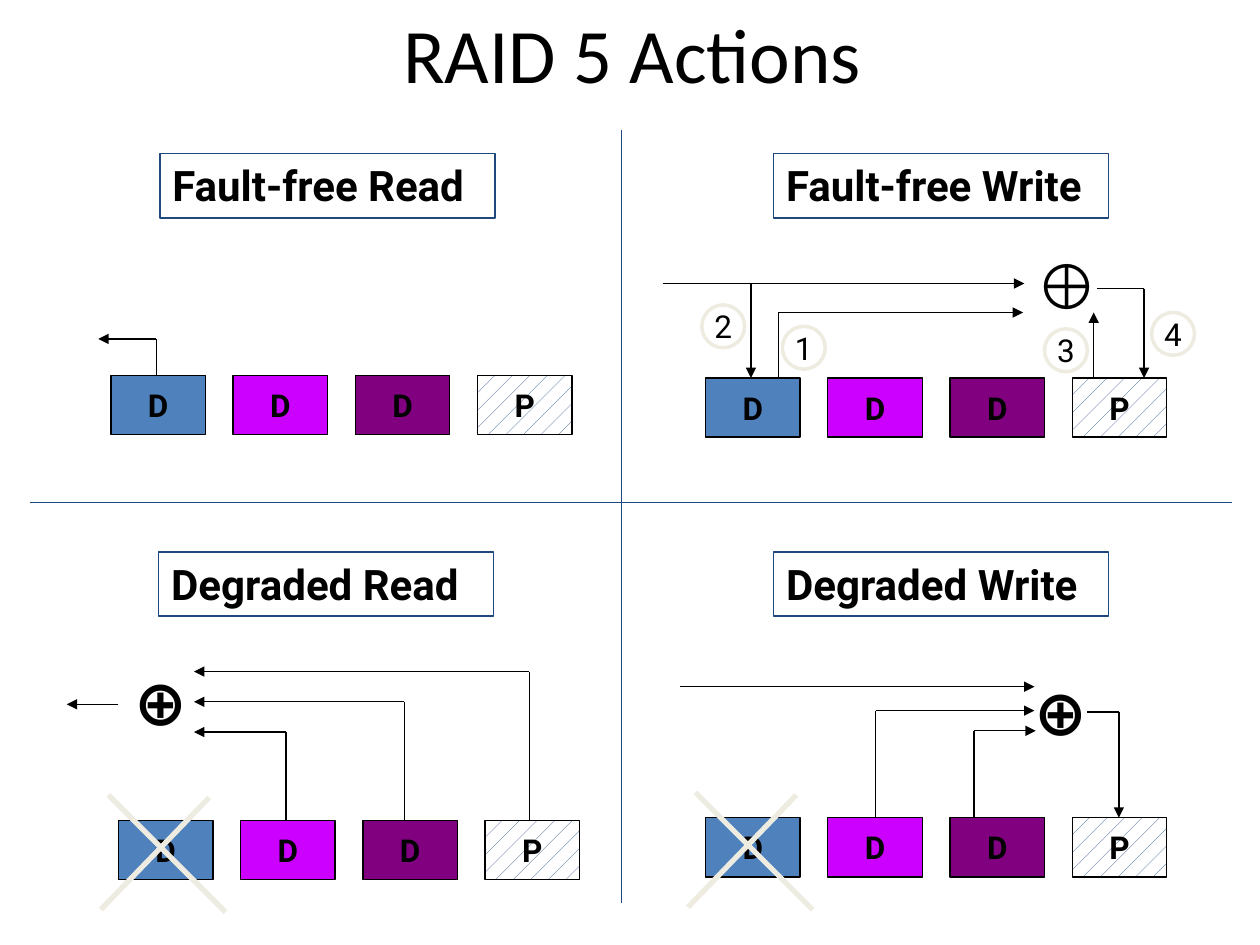
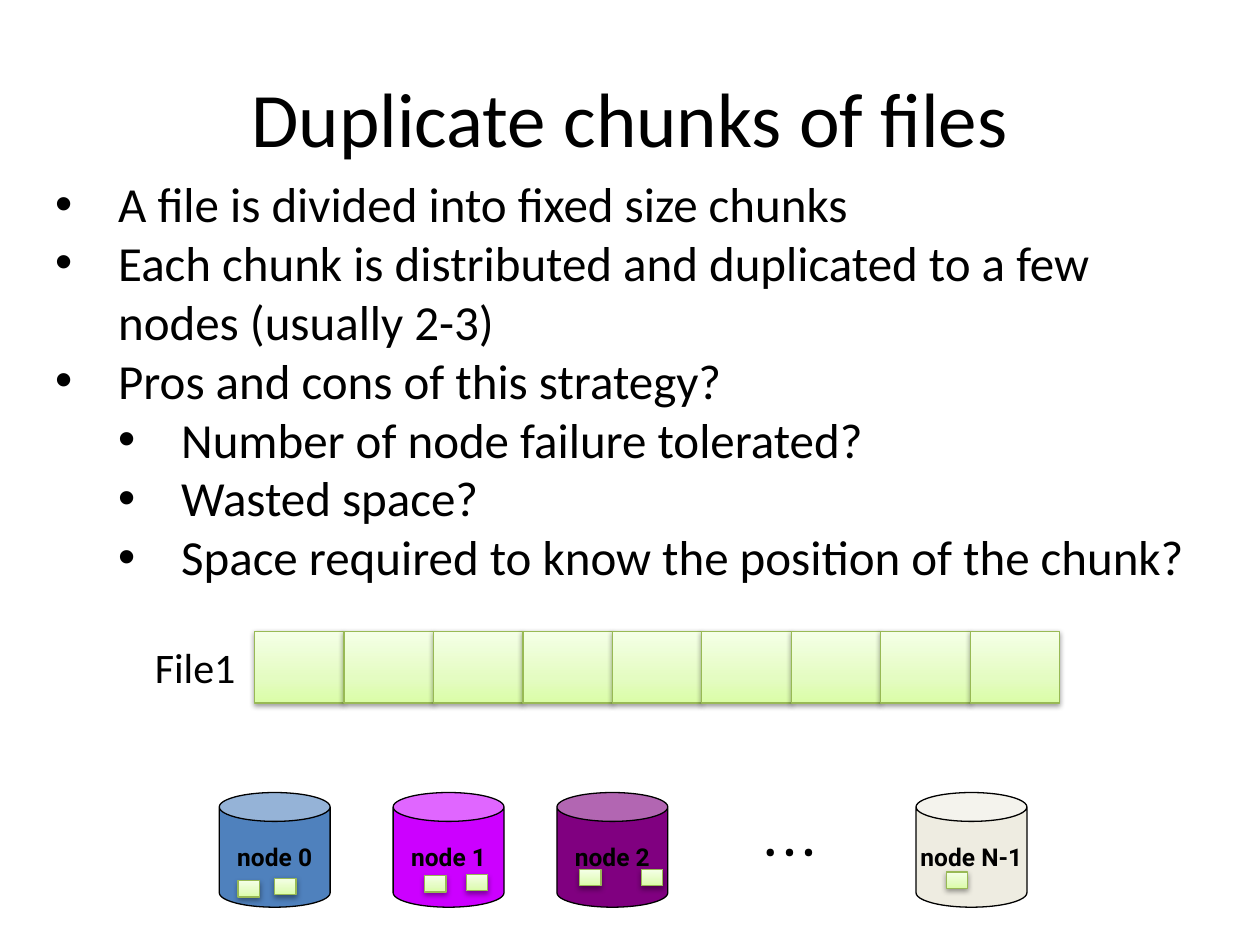
from dataclasses import dataclass

from pptx import Presentation
from pptx.dml.color import RGBColor
from pptx.enum.dml import MSO_PATTERN
from pptx.enum.shapes import MSO_CONNECTOR, MSO_SHAPE
from pptx.enum.text import MSO_ANCHOR, PP_ALIGN
from pptx.oxml import parse_xml
from pptx.oxml.ns import nsdecls
from pptx.util import Inches, Pt

BLACK = RGBColor(0x00, 0x00, 0x00)
WHITE = RGBColor(0xFF, 0xFF, 0xFF)
NAVY = RGBColor(0x1F, 0x49, 0x7D)
BLUE = RGBColor(0x4F, 0x81, 0xBD)
MAGENTA = RGBColor(0xCC, 0x00, 0xFF)
PURPLE = RGBColor(0x80, 0x00, 0x80)
CREAM = RGBColor(0xEE, 0xEC, 0xE1)
LEAF = RGBColor(0x98, 0xB9, 0x55)
CHUNK_STOPS = [
    (0, RGBColor(0xDA, 0xFD, 0xA7)),
    (35000, RGBColor(0xE4, 0xFC, 0xC2)),
    (100000, RGBColor(0xF5, 0xFF, 0xE7)),
]

TITLE = {"name": "Calibri", "size": Pt(44)}
BODY = {"name": "Calibri", "size": Pt(28)}
FILE_LABEL = {"name": "Calibri", "size": Pt(24)}
HEADING = {"name": "Roboto", "size": Pt(24), "bold": True}
BLOCK = {"name": "Roboto", "size": Pt(18), "bold": True}
STEP = {"name": "Roboto", "size": Pt(18)}
NODE = {"name": "Roboto", "size": Pt(14), "bold": True}
MIDDLE = {"word_wrap": False, "vertical_anchor": MSO_ANCHOR.MIDDLE}

CROSS = [[(-0.08, -0.2), (0.85, 0.73)], [(0.72, -0.18), (-0.14, 0.71)]]


@dataclass
class Action:
    """One RAID action, with offsets from its first block."""

    name: str
    left: float
    top: float
    heading: tuple
    routes: list
    parity: tuple = None
    parity_font: str = "Roboto"
    steps: tuple = ()
    failed: bool = False


ACTIONS = [
    Action("Fault-free Read", 0.88, 2.98, (0.39, -1.76),
           [[(0.36, 0), (0.36, -0.29), (-0.1, -0.29)]]),
    Action("Fault-free Write", 5.6, 3, (0.54, -1.78),
           [[(-0.34, -0.75), (2.53, -0.75)],
            [(0.36, -0.75), (0.36, 0)],
            [(0.58, 0), (0.58, -0.52), (2.52, -0.52)],
            [(3.08, 0), (3.08, -0.52)],
            [(3.11, -0.71), (3.48, -0.71), (3.48, 0)]],
           parity=(2.52, -1.09), parity_font="Arial",
           steps=((0.61, -0.41), (-0.03, -0.58), (2.69, -0.39), (3.54, -0.52))),
    Action("Degraded Read", 0.94, 6.51, (0.32, -2.13),
           [[(1.33, 0), (1.33, -0.7), (0.6, -0.7)],
            [(2.27, 0), (2.27, -0.94), (0.6, -0.94)],
            [(3.26, 0), (3.26, -1.18), (0.6, -1.18)],
            [(0, -0.92), (-0.41, -0.92)]],
           parity=(0.03, -1.3), failed=True),
    Action("Degraded Write", 5.6, 6.49, (0.54, -2.11),
           [[(-0.2, -1.04), (2.61, -1.04)],
            [(1.35, 0), (1.35, -0.85), (2.61, -0.85)],
            [(2.13, 0), (2.13, -0.69), (2.62, -0.69)],
            [(3.03, -0.84), (3.28, -0.84), (3.28, 0)]],
           parity=(2.51, -1.2), failed=True),
]

BULLETS = [
    (0, "A file is divided into fixed size chunks"),
    (0, "Each chunk is distributed and duplicated to a few nodes (usually 2-3)"),
    (0, "Pros and cons of this strategy?"),
    (1, "Number of node failure tolerated?"),
    (1, "Wasted space?"),
    (1, "Space required to know the position of the chunk?"),
]

NODES = [
    ("node 0", 1.74, BLUE, [(0.15, 0.7), (0.44, 0.68)]),
    ("node 1", 3.12, MAGENTA, [(0.25, 0.66), (0.58, 0.65)]),
    ("node 2", 4.42, PURPLE, [(0.18, 0.61), (0.67, 0.61)]),
    ("node N-1", 7.27, CREAM, [(0.24, 0.63)]),
]


def apply_format(target, values):
    """Set each attribute named in a dict of values."""
    for name, value in values.items():
        setattr(target, name, value)


def write(para, text, style):
    """Add one black span of text to a paragraph."""
    span = para.add_run()
    span.text = text
    apply_format(span.font, style)
    span.font.color.rgb = BLACK


def add_text(page, box, text, style, align=PP_ALIGN.LEFT, frame_values=None):
    """Add a text box holding one paragraph."""
    frame = page.shapes.add_textbox(*map(Inches, box)).text_frame
    apply_format(frame, {"word_wrap": True, **(frame_values or {})})
    frame.paragraphs[0].alignment = align
    write(frame.paragraphs[0], text, style)


def add_title(page, box, text):
    """Add the centred slide title."""
    add_text(page, box, text, TITLE, PP_ALIGN.CENTER, {"vertical_anchor": MSO_ANCHOR.MIDDLE})


def add_figure(page, kind, box, fill=None, line=BLACK, width=0.75):
    """Add a flat outlined preset shape."""
    figure = page.shapes.add_shape(kind, *map(Inches, box))
    figure.shadow.inherit = False
    if fill is None:
        figure.fill.background()
    else:
        figure.fill.solid()
        figure.fill.fore_color.rgb = fill
    figure.line.color.rgb = line
    figure.line.width = Pt(width)
    return figure


def add_label(figure, text, style, align=PP_ALIGN.CENTER, frame_values=MIDDLE):
    """Write a label inside a shape."""
    apply_format(figure.text_frame, frame_values)
    para = figure.text_frame.paragraphs[0]
    para.alignment = align
    write(para, text, style)


def add_line(page, start, end, color=BLACK, width=0.75, arrow=False):
    """Add a straight line, with an arrowhead at its end if asked."""
    line = page.shapes.add_connector(MSO_CONNECTOR.STRAIGHT, *map(Inches, (*start, *end)))
    line.line.color.rgb = color
    line.line.width = Pt(width)
    if arrow:
        line.line._get_or_add_ln().append(
            parse_xml(f'<a:tailEnd {nsdecls("a")} type="triangle"/>'))
    line._element.spPr.append(parse_xml(f'<a:effectLst {nsdecls("a")}/>'))


def add_blocks(page, left, top):
    """Add the three data blocks and the hatched parity block."""
    for index, (letter, color) in enumerate(
            [("D", BLUE), ("D", MAGENTA), ("D", PURPLE), ("P", WHITE)]):
        block = add_figure(page, MSO_SHAPE.RECTANGLE,
                           (left + 0.97 * index, top, 0.75, 0.47), color)
        if letter == "P":
            block.fill.patterned()
            block.fill.pattern = MSO_PATTERN.PERCENT_5
            block.fill.fore_color.rgb = NAVY
            block.fill.back_color.rgb = WHITE
        add_label(block, letter, BLOCK)


def add_action(page, action):
    """Draw one quadrant around its row of blocks."""
    def place(offset):
        return action.left + offset[0], action.top + offset[1]

    heading = add_figure(page, MSO_SHAPE.RECTANGLE,
                         (*place(action.heading), 2.66, 0.51), line=NAVY)
    add_label(heading, action.name, HEADING, PP_ALIGN.LEFT,
              {"word_wrap": True, "vertical_anchor": MSO_ANCHOR.TOP})
    add_blocks(page, action.left, action.top)
    for route in action.routes:
        points = [place(offset) for offset in route]
        for index, (start, end) in enumerate(zip(points, points[1:]), 2):
            add_line(page, start, end, arrow=index == len(points))
    if action.parity:
        add_text(page, (*place(action.parity), 0.59, 0.7), "⊕",
                 {"name": action.parity_font, "size": Pt(36), "bold": True},
                 frame_values={"word_wrap": False})
    for number, offset in enumerate(action.steps, 1):
        badge = add_figure(page, MSO_SHAPE.OVAL, (*place(offset), 0.34, 0.34),
                           line=CREAM, width=2)
        add_label(badge, str(number), STEP)
    if action.failed:
        for start, end in CROSS:
            add_line(page, place(start), place(end), CREAM, 3)


def add_bullets(page, box):
    """Add the two-level bullet list."""
    frame = page.shapes.add_textbox(*map(Inches, box)).text_frame
    frame.word_wrap = True
    for index, (level, text) in enumerate(BULLETS):
        para = frame.add_paragraph() if index else frame.paragraphs[0]
        para.level = level
        properties = para._p.get_or_add_pPr()
        properties.set("marL", str(Inches(0.5 + 0.5 * level)))
        properties.set("indent", str(Inches(-0.5)))
        for tag in ('buFont {} typeface="Arial"', 'buChar {} char="•"'):
            properties.append(parse_xml(f"<a:{tag.format(nsdecls('a'))}/>"))
        write(para, text, BODY)


def add_chunk(page, box):
    """Add a shaded green chunk with a soft shadow."""
    chunk = add_figure(page, MSO_SHAPE.RECTANGLE, box, line=LEAF)
    stops = "".join(f'<a:gs pos="{position}"><a:srgbClr val="{color}"/></a:gs>'
                    for position, color in CHUNK_STOPS)
    properties = chunk._element.spPr
    properties.replace(properties.find("{*}noFill"), parse_xml(
        f'<a:gradFill {nsdecls("a")}><a:gsLst>{stops}</a:gsLst>'
        '<a:lin ang="16200000" scaled="0"/></a:gradFill>'))
    properties.find("{*}effectLst").append(parse_xml(
        f'<a:outerShdw {nsdecls("a")} blurRad="{Pt(3.1)}" dist="{Pt(1.6)}" dir="5400000" '
        'rotWithShape="0"><a:srgbClr val="000000"><a:alpha val="38000"/></a:srgbClr>'
        '</a:outerShdw>'))


def add_file(page, left, top):
    """Add the labelled row of nine file chunks."""
    add_text(page, (left, top + 0.03, 0.89, 0.5), "File1", FILE_LABEL)
    for index in range(9):
        add_chunk(page, (left + 0.89 + 0.71 * index, top, 0.71, 0.57))


def add_nodes(page, top):
    """Add the storage nodes with the chunks they hold."""
    for name, left, color, chunks in NODES:
        can = add_figure(page, MSO_SHAPE.CAN, (left, top, 0.88, 0.91), color)
        can.adjustments[0] = 0.26
        add_label(can, name, NODE)
        for across, down in chunks:
            add_chunk(page, (left + across, top + down, 0.17, 0.13))
    add_text(page, (5.97, top + 0.27, 0.61, 0.4), "• • •", BLOCK,
             frame_values={"word_wrap": False})


def build_actions(page):
    """Build the slide of four RAID actions."""
    add_title(page, (0.77, 0, 8.5, 0.83), "RAID 5 Actions")
    add_line(page, (0.24, 3.99), (9.78, 3.99), NAVY)
    add_line(page, (4.93, 1.03), (4.93, 7.17), NAVY)
    for action in ACTIONS:
        add_action(page, action)


def build_chunks(page):
    """Build the slide on duplicated file chunks."""
    add_title(page, (0.5, 0.3, 9, 1.25), "Duplicate chunks of files")
    add_bullets(page, (0.34, 1.33, 9.16, 3.4))
    add_file(page, 1.13, 5.01)
    add_nodes(page, 6.29)


def main():
    """Build and save the deck."""
    deck = Presentation()
    deck.slide_width, deck.slide_height = Inches(10), Inches(7.5)
    for build in (build_actions, build_chunks):
        build(deck.slides.add_slide(deck.slide_layouts[6]))
    deck.save("out.pptx")


if __name__ == "__main__":
    main()
